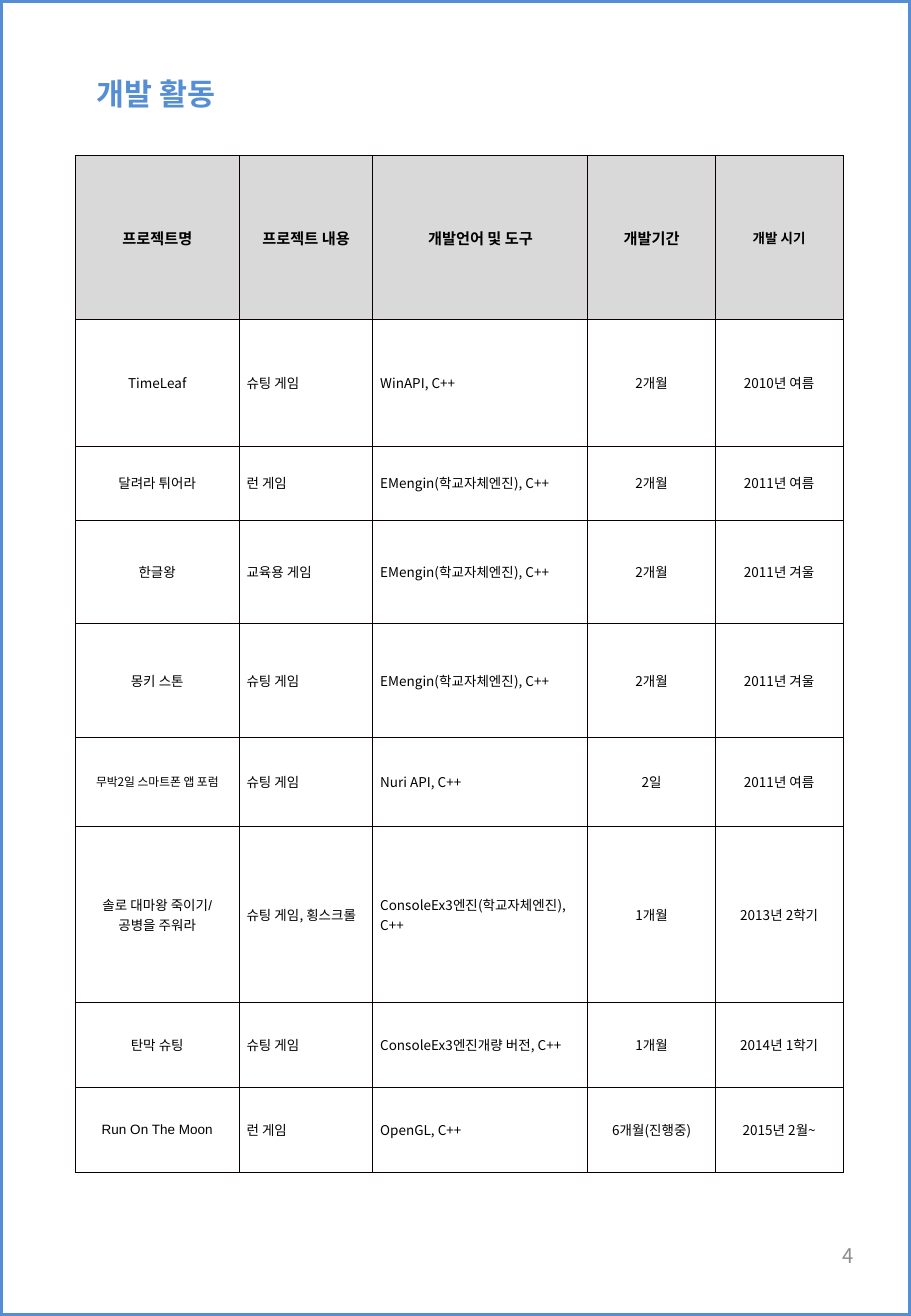
from lxml import etree
from pptx import Presentation
from pptx import util as u
from pptx.dml.color import RGBColor
from pptx.enum import shapes, text
from pptx.oxml.ns import qn

HUES = {"blue": "558ED5", "gray": "8C8C8C", "black": "000000",
        "edge": "0A0000", "head": "D9D9D9", "white": "FFFFFF"}
NOTO = "Noto Sans CJK KR"
MID = text.MSO_ANCHOR.MIDDLE
LEFT, CENTER, RIGHT = text.PP_ALIGN.LEFT, text.PP_ALIGN.CENTER, text.PP_ALIGN.RIGHT


def style(frame, size, hue, align, bold=False, face=NOTO):
    for para in frame.paragraphs:
        para.alignment = align
        for run in para.runs:
            font = run.font
            font.size, font.bold, font.name = u.Pt(size), bold, face
            font.color.rgb = RGBColor.from_string(HUES[hue])
            east = etree.SubElement(run._r.rPr, qn("a:ea"))
            east.set("typeface", NOTO)


def border(cell):
    props = cell._tc.get_or_add_tcPr()
    for spot, side in enumerate(("lnL", "lnR", "lnT", "lnB")):
        line = etree.Element(qn("a:" + side), w=str(u.Pt(0.56)))
        fill = etree.SubElement(line, qn("a:solidFill"))
        etree.SubElement(fill, qn("a:srgbClr"), val=HUES["edge"])
        props.insert(spot, line)


deck = Presentation()
deck.slide_width, deck.slide_height = u.Inches(7.5), u.Inches(10.83)
slide = deck.slides.add_slide(deck.slide_layouts[6])

frame = slide.shapes.add_shape(shapes.MSO_SHAPE.RECTANGLE, 0, 0,
                               deck.slide_width, deck.slide_height)
frame.shadow.inherit = False
frame.fill.background()
frame.line.color.rgb = RGBColor.from_string(HUES["blue"])
frame.line.width = u.Pt(3.75)

labels = [
    ("4", (5.38, 10.04, 1.75, 0.58), 12, "gray", RIGHT, False, MID),
    ("개발 활동", (0.7, 0.57, 4.22, 0.4), 18, "blue", LEFT, True, text.MSO_ANCHOR.TOP),
]
for words, spot, size, hue, align, bold, anchor in labels:
    box = slide.shapes.add_textbox(*map(u.Inches, spot)).text_frame
    box.word_wrap = True
    box.vertical_anchor = anchor
    box.text = words
    style(box, size, hue, align, bold)

rows = [
    ("프로젝트명", "프로젝트 내용", "개발언어 및 도구", "개발기간", "개발 시기"),
    ("TimeLeaf", "슈팅 게임", "WinAPI, C++", "2개월", "2010년 여름"),
    ("달려라 튀어라", "런 게임", "EMengin(학교자체엔진), C++", "2개월", "2011년 여름"),
    ("한글왕", "교육용 게임", "EMengin(학교자체엔진), C++", "2개월", "2011년 겨울"),
    ("몽키 스톤", "슈팅 게임", "EMengin(학교자체엔진), C++", "2개월", "2011년 겨울"),
    ("무박2일 스마트폰 앱 포럼", "슈팅 게임", "Nuri API, C++", "2일", "2011년 여름"),
    ("솔로 대마왕 죽이기/\n공병을 주워라", "슈팅 게임, 횡스크롤",
     "ConsoleEx3엔진(학교자체엔진), C++", "1개월", "2013년 2학기"),
    ("탄막 슈팅", "슈팅 게임", "ConsoleEx3엔진개량 버전, C++", "1개월", "2014년 1학기"),
    ("Run On The Moon", "런 게임", "OpenGL, C++", "6개월(진행중)", "2015년 2월~"),
]
widths = [1.35, 1.1, 1.77, 1.05, 1.05]
heights = [1.35, 1.04, 0.61, 0.85, 0.94, 0.73, 1.45, 0.7, 0.7]
sizes = {(0, 0): 9, (0, 1): 9, (0, 2): 9, (0, 3): 9, (5, 0): 7}

table = slide.shapes.add_table(len(rows), len(widths), u.Inches(0.62), u.Inches(1.28),
                               u.Inches(sum(widths)), u.Inches(sum(heights))).table
table.first_row = table.horz_banding = False
for col, width in zip(table.columns, widths):
    col.width = u.Inches(width)
for row, height in zip(table.rows, heights):
    row.height = u.Inches(height)

for r, row in enumerate(rows):
    for c, words in enumerate(row):
        cell = table.cell(r, c)
        cell.text_frame.text = words
        cell.vertical_anchor = MID
        cell.margin_left = cell.margin_right = u.Inches(0.06)
        cell.margin_top = cell.margin_bottom = u.Inches(0.02)
        cell.fill.solid()
        cell.fill.fore_color.rgb = RGBColor.from_string(HUES["white" if r else "head"])
        border(cell)
        align = LEFT if r and c in (1, 2) else CENTER
        face = "Arial" if r > 5 and c == 0 else NOTO
        style(cell.text_frame, sizes.get((r, c), 8), "black", align, r == 0, face)

deck.save("out.pptx")
